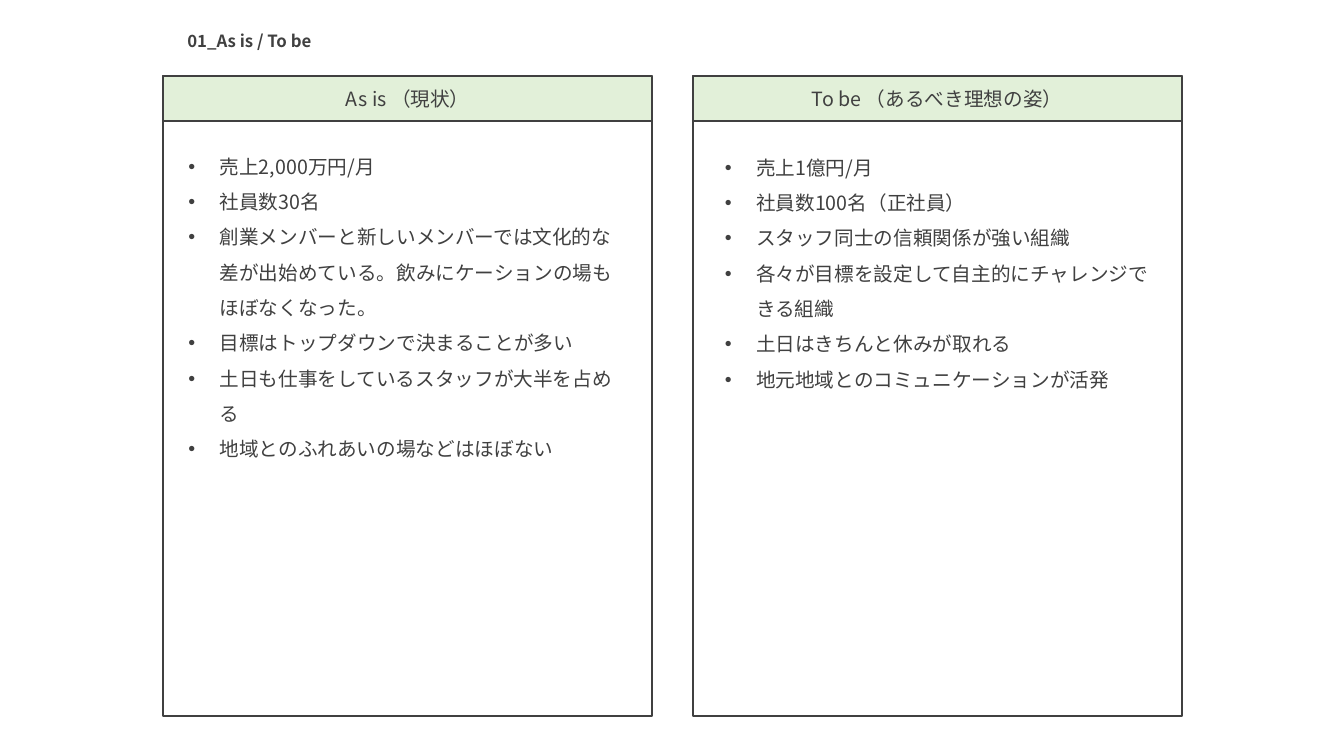
from pptx import Presentation
from pptx.dml.color import RGBColor
from pptx.enum.shapes import MSO_SHAPE as Shape
from pptx.enum.text import MSO_ANCHOR as Anchor, MSO_AUTO_SIZE as AutoSize, PP_ALIGN as Align
from pptx.oxml.ns import qn
from pptx.util import Inches, Pt
from lxml.etree import SubElement

INK = RGBColor(0x40, 0x40, 0x40)
GREEN = RGBColor(0xE2, 0xF0, 0xD9)
WHITE = RGBColor(0xFF, 0xFF, 0xFF)
FONT = "Noto Sans CJK JP"

# Column grid, in inches
LEFT, TOP, WIDTH, HEIGHT = 1.62, 0.75, 4.85, 6.35
PITCH = 5.25
HEADER = 0.45
INDENT = 0.31

COLUMNS = [
    {"title": "As is （現状）", "list": (0.15, 0.62, 4.55, 3.28), "items": [
        "売上2,000万円/月",
        "社員数30名",
        "創業メンバーと新しいメンバーでは文化的な差が出始めている。"
        "飲みにケーションの場もほぼなくなった。",
        "目標はトップダウンで決まることが多い",
        "土日も仕事をしているスタッフが大半を占める",
        "地域とのふれあいの場などはほぼない",
    ]},
    {"title": "To be （あるべき理想の姿）", "list": (0.22, 0.63, 4.48, 2.57), "items": [
        "売上1億円/月",
        "社員数100名（正社員）",
        "スタッフ同士の信頼関係が強い組織",
        "各々が目標を設定して自主的にチャレンジできる組織",
        "土日はきちんと休みが取れる",
        "地元地域とのコミュニケーションが活発",
    ]},
]

deck = Presentation()
deck.slide_width, deck.slide_height = Inches(13.33), Inches(7.5)
page = deck.slides.add_slide(deck.slide_layouts[6])


def add_panel(left, height, color):
    panel = page.shapes.add_shape(
        Shape.RECTANGLE, *map(Inches, (left, TOP, WIDTH, height)))
    panel.shadow.inherit = False
    panel.fill.solid()
    panel.fill.fore_color.rgb = color
    panel.line.color.rgb = INK
    panel.line.width = Pt(1.5)
    return panel


def write(para, text, size=14, bold=False):
    span = para.add_run()
    span.text = text
    for name, value in {"name": FONT, "size": Pt(size), "bold": bold}.items():
        setattr(span.font, name, value)
    span.font.color.rgb = INK
    SubElement(span.font._element, qn("a:ea"), typeface=FONT)


# Slide title
box = page.shapes.add_textbox(*map(Inches, (1.76, 0.26, 1.65, 0.3)))
box.text_frame.word_wrap = False
box.text_frame.auto_size = AutoSize.SHAPE_TO_FIT_TEXT
write(box.text_frame.paragraphs[0], "01_As is / To be", 12, True)

for number, column in enumerate(COLUMNS):
    left = LEFT + number * PITCH

    # Frame and header band
    add_panel(left, HEIGHT, WHITE)
    header = add_panel(left, HEADER, GREEN)
    header.text_frame.vertical_anchor = Anchor.MIDDLE
    para = header.text_frame.paragraphs[0]
    para.alignment = Align.CENTER
    write(para, column["title"])

    # Bullet list
    dx, dy, width, height = column["list"]
    box = page.shapes.add_textbox(*map(Inches, (left + dx, TOP + dy, width, height)))
    frame = box.text_frame
    frame.word_wrap = True
    frame.auto_size = AutoSize.SHAPE_TO_FIT_TEXT
    for index, item in enumerate(column["items"]):
        para = frame.add_paragraph() if index else frame.paragraphs[0]
        para.line_spacing = 1.5
        props = para._p.get_or_add_pPr()
        props.set("marL", str(Inches(INDENT)))
        props.set("indent", str(-Inches(INDENT)))
        SubElement(props, qn("a:buFont"), typeface="Arial")
        SubElement(props, qn("a:buChar"), char="•")
        write(para, item)

deck.save("out.pptx")
